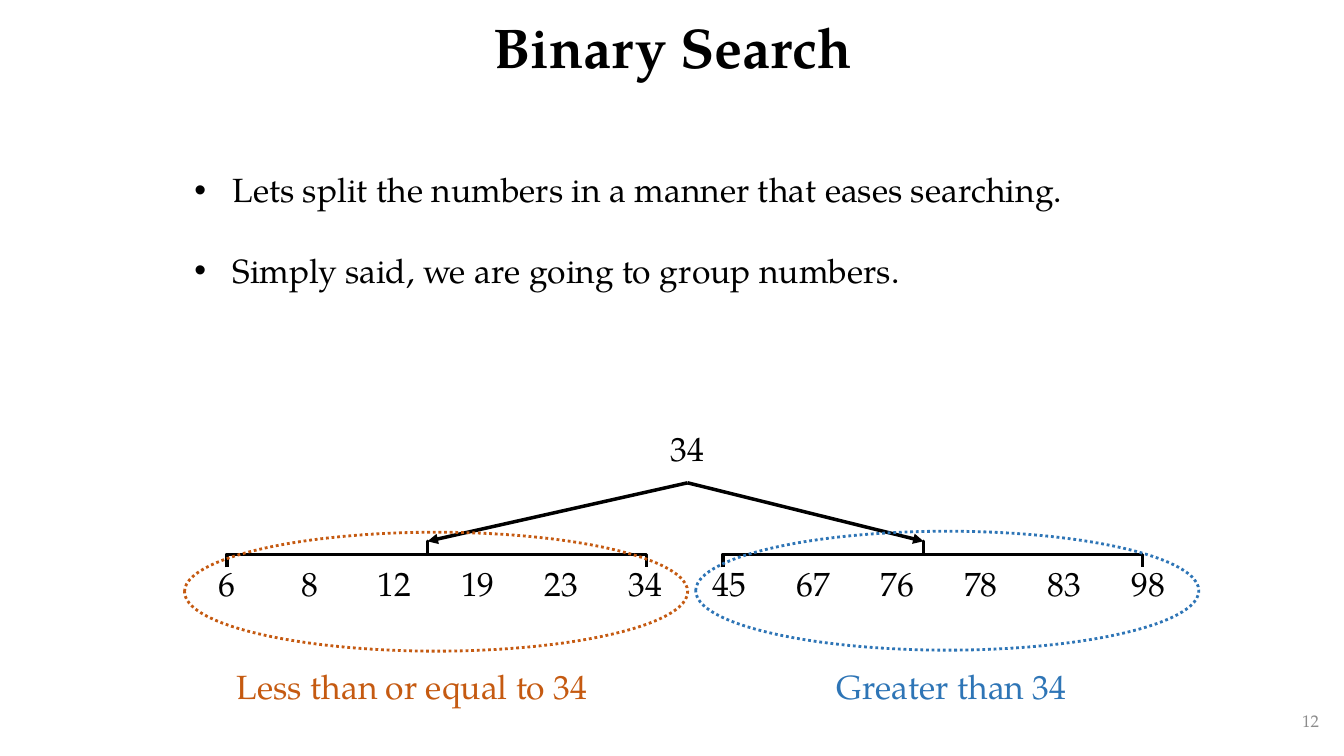
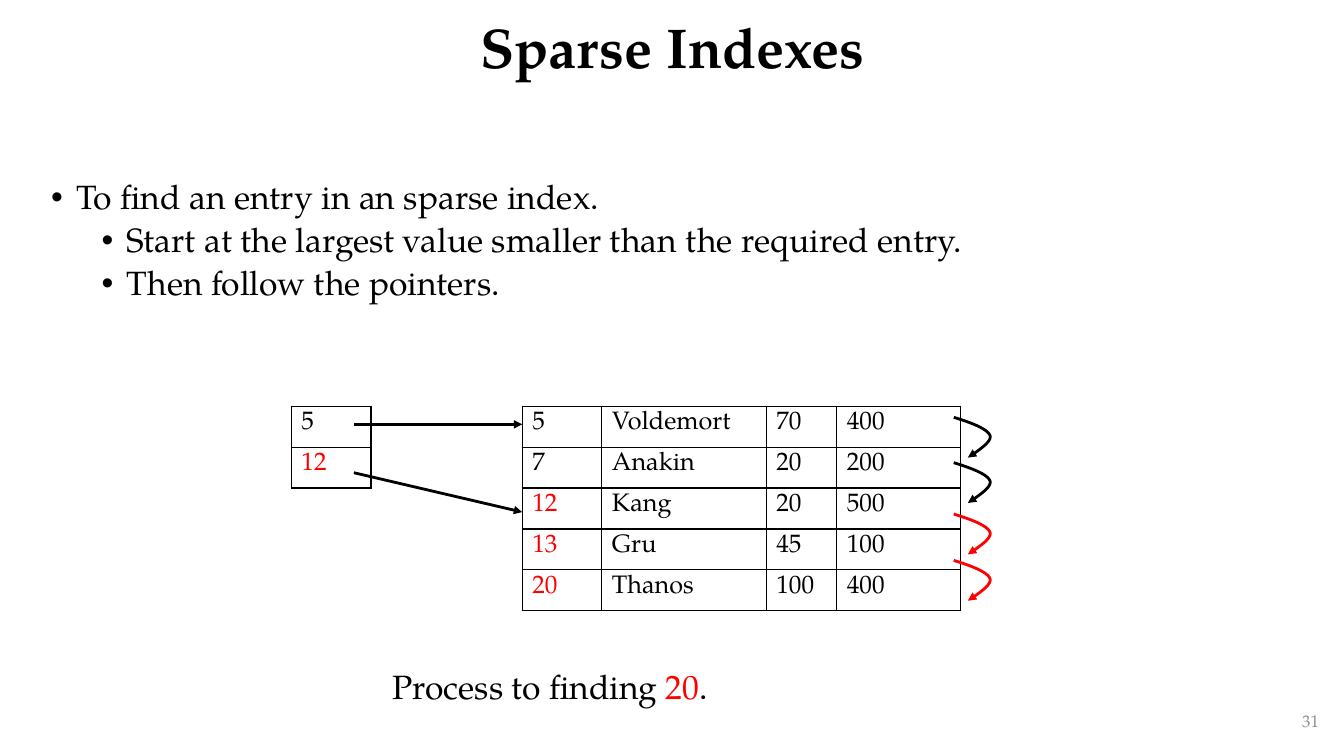
from lxml.etree import SubElement
from pptx import Presentation
from pptx.dml.color import RGBColor
from pptx.enum.dml import MSO_LINE
from pptx.enum.shapes import MSO_CONNECTOR, MSO_SHAPE
from pptx.enum.text import MSO_ANCHOR, PP_ALIGN as Align
from pptx.oxml.ns import qn
from pptx.util import Inches, Pt

FONT = "TeX Gyre Pagella"
COLOURS = {
    "ink": "000000",
    "paper": "FFFFFF",
    "muted": "8C8C8C",
    "low": "C55A11",
    "high": "2E75B6",
    "found": "FF0000",
}
NO_TABLE_STYLE = "{2D5ABB26-0587-4C30-8999-92F81FD0307C}"


def colour(name):
    return RGBColor.from_string(COLOURS[name])


def bezier(start, first, second, end, steps=12):
    """Points along a cubic curve, without its start."""
    points = []
    for step in range(1, steps + 1):
        t = step / steps
        weights = ((1 - t) ** 3, 3 * t * (1 - t) ** 2, 3 * t * t * (1 - t), t ** 3)
        controls = (start, first, second, end)
        points.append(tuple(sum(w * c[axis] for w, c in zip(weights, controls))
                            for axis in (0, 1)))
    return points


class SlideWriter:
    def __init__(self, deck):
        self.deck = deck
        self.page = None

    def new_page(self, title, number):
        self.page = self.deck.slides.add_slide(self.deck.slide_layouts[6])
        box = self.text(0.92, 0, 11.5, 0.99, [(title, "ink")], size=40,
                        align=Align.CENTER, bold=True, anchor=MSO_ANCHOR.MIDDLE)
        box.text_frame.paragraphs[0].line_spacing = 0.9
        self.text(10.18, 6.95, 3, 0.4, [(number, "muted")], size=12,
                  align=Align.RIGHT, anchor=MSO_ANCHOR.MIDDLE)

    def spans(self, para, parts, size, bold=False):
        """Add (words, colour name) pairs to a paragraph as runs."""
        for words, shade in parts:
            span = para.add_run()
            span.text = words
            span.font.name = FONT
            span.font.size = Pt(size)
            span.font.bold = bold
            span.font.color.rgb = colour(shade)

    def box(self, left, top, width, height, anchor=MSO_ANCHOR.TOP):
        box = self.page.shapes.add_textbox(
            Inches(left), Inches(top), Inches(width), Inches(height))
        box.text_frame.word_wrap = True
        box.text_frame.vertical_anchor = anchor
        return box

    def text(self, left, top, width, height, parts, size=24, align=Align.LEFT,
             bold=False, anchor=MSO_ANCHOR.TOP):
        box = self.box(left, top, width, height, anchor)
        para = box.text_frame.paragraphs[0]
        para.alignment = align
        self.spans(para, parts, size, bold)
        return box

    def caption(self, left, parts):
        self.text(left, 6.56, 3.7, 0.5, parts)

    def bullets(self, left, top, width, height, items, hang, gap,
                align=Align.LEFT, spacing=1.0):
        """Items are (level, words); gap is the space between them in points."""
        frame = self.box(left, top, width, height).text_frame
        for index, (level, words) in enumerate(items):
            para = frame.add_paragraph() if index else frame.paragraphs[0]
            para.level = level
            para.alignment = align
            para.line_spacing = spacing
            para.space_before = Pt(gap if index else 0)
            props = para._p.get_or_add_pPr()
            props.set("marL", str(Inches(hang + 0.5 * level)))
            props.set("indent", str(-Inches(hang)))
            SubElement(props, qn("a:buFont"), typeface="Arial")
            SubElement(props, qn("a:buChar"), char="•")
            self.spans(para, [(words, "ink")], 24)

    def table(self, left, top, widths, row_height, rows, size,
              align=Align.LEFT, bordered=False, marked=()):
        """Marked rows have their first cell in the highlight colour."""
        frame = self.page.shapes.add_table(
            len(rows), len(widths), Inches(left), Inches(top),
            Inches(sum(widths)), Inches(row_height * len(rows)))
        table = frame.table
        table.first_row = table.horz_banding = False
        table._tbl.tblPr.find(qn("a:tableStyleId")).text = NO_TABLE_STYLE
        for column, width in zip(table.columns, widths):
            column.width = Inches(width)
        for r, values in enumerate(rows):
            table.rows[r].height = Inches(row_height)
            for c, value in enumerate(values):
                cell = table.cell(r, c)
                if bordered:
                    self.border(cell)
                cell.fill.background()
                para = cell.text_frame.paragraphs[0]
                para.alignment = align
                shade = "found" if c == 0 and r in marked else "ink"
                self.spans(para, [(value, shade)], size)

    def border(self, cell):
        props = cell._tc.get_or_add_tcPr()
        for side in ("lnL", "lnR", "lnT", "lnB"):
            edge = SubElement(props, qn("a:" + side), w=str(Pt(1)))
            fill = SubElement(edge, qn("a:solidFill"))
            SubElement(fill, qn("a:srgbClr"), val=COLOURS["ink"])

    def stroke(self, shape, shade, weight, arrow=False):
        shape.line.color.rgb = colour(shade)
        shape.line.width = Pt(weight)
        if arrow:
            outline = shape._element.spPr.find(qn("a:ln"))
            SubElement(outline, qn("a:tailEnd"), type="triangle")

    def outline(self, preset, left, top, width, height, shade, weight):
        shape = self.page.shapes.add_shape(
            preset, Inches(left), Inches(top), Inches(width), Inches(height))
        shape.shadow.inherit = False
        shape.fill.background()
        self.stroke(shape, shade, weight)
        return shape

    def brace(self, left):
        brace = self.outline(MSO_SHAPE.LEFT_BRACE, left, 3.42, 0.26, 4.16, "ink", 2.5)
        brace.rotation = 90
        brace.adjustments[0] = 0
        brace.adjustments[1] = 0.522

    def ring(self, left, top, shade):
        ring = self.outline(MSO_SHAPE.OVAL, left, top, 4.99, 1.18, shade, 2)
        ring.line.dash_style = MSO_LINE.ROUND_DOT

    def arrow(self, start, end, weight):
        line = self.page.shapes.add_connector(
            MSO_CONNECTOR.STRAIGHT, *(Inches(v) for v in start + end))
        self.stroke(line, "ink", weight, arrow=True)
        SubElement(line._element.spPr, qn("a:effectLst"))

    def hook(self, left, top, shade):
        """Curved arrow from the end of one row to the next."""
        bend = (0.36, 0.18)
        points = (bezier((0, 0), (0.16, 0.05), (0.33, 0.11), bend)
                  + bezier(bend, (0.38, 0.24), (0.26, 0.32), (0.14, 0.4)))
        builder = self.page.shapes.build_freeform(Inches(left), Inches(top))
        builder.add_line_segments(
            [(Inches(left + x), Inches(top + y)) for x, y in points], close=False)
        hook = builder.convert_to_shape()
        hook.shadow.inherit = False
        hook.fill.background()
        self.stroke(hook, shade, 2, arrow=True)


def binary_search(writer):
    writer.new_page("Binary Search", "12")
    writer.bullets(1.83, 1.63, 10.49, 1.31, [
        (0, "Lets split the numbers in a manner that eases searching."),
        (0, "Simply said, we are going to group numbers."),
    ], hang=0.38, gap=29)

    left, width = 1.83, 9.98
    numbers = ["6", "8", "12", "19", "23", "34", "45", "67", "76", "78", "83", "98"]
    for top, values in ((4.29, ["34"]), (5.63, numbers)):
        writer.table(left, top, [width / len(values)] * len(values), 0.5,
                     [values], 24, Align.CENTER)

    halves = [
        (4.2, 4.24, 1.83, 5.28, 2.25, "Less than or equal to 34", "low"),
        (9.12, 9.16, 6.9, 5.27, 8.2, "Greater than 34", "high"),
    ]
    for brace_left, tip, ring_left, ring_top, caption_left, words, shade in halves:
        writer.brace(brace_left)
        writer.arrow((left + width / 2, 4.79), (tip, 5.37), 2.5)
        writer.ring(ring_left, ring_top, shade)
        writer.caption(caption_left, [(words, shade)])


def sparse_indexes(writer):
    writer.new_page("Sparse Indexes", "31")
    writer.bullets(0.41, 1.74, 12.92, 1.5, [
        (0, "To find an entry in an sparse index."),
        (1, "Start at the largest value smaller than the required entry."),
        (1, "Then follow the pointers."),
    ], hang=0.25, gap=5, align=Align.JUSTIFY, spacing=0.9)

    records = [
        ("5", "Voldemort", "70", "400"),
        ("7", "Anakin", "20", "200"),
        ("12", "Kang", "20", "500"),
        ("13", "Gru", "45", "100"),
        ("20", "Thanos", "100", "400"),
    ]
    top, row_height = 4.03, 0.406
    writer.table(5.18, top, [0.79, 1.63, 0.7, 1.23], row_height, records, 18,
                 bordered=True, marked=(2, 3, 4))
    writer.table(2.89, top, [0.79], row_height, [("5",), ("12",)], 18,
                 bordered=True, marked=(1,))
    for hook_top, shade in ((4.14, "ink"), (4.59, "ink"), (5.1, "found"), (5.56, "found")):
        writer.hook(9.46, hook_top, shade)
    for start, end in ((4.21, 4.21), (4.69, 5.08)):
        writer.arrow((3.51, start), (5.18, end), 2)
    writer.caption(3.79, [("Process to finding ", "ink"), ("20", "found"), (".", "ink")])


def main():
    deck = Presentation()
    deck.slide_width, deck.slide_height = Inches(13.33), Inches(7.5)
    writer = SlideWriter(deck)
    binary_search(writer)
    sparse_indexes(writer)
    deck.save("out.pptx")


if __name__ == "__main__":
    main()
